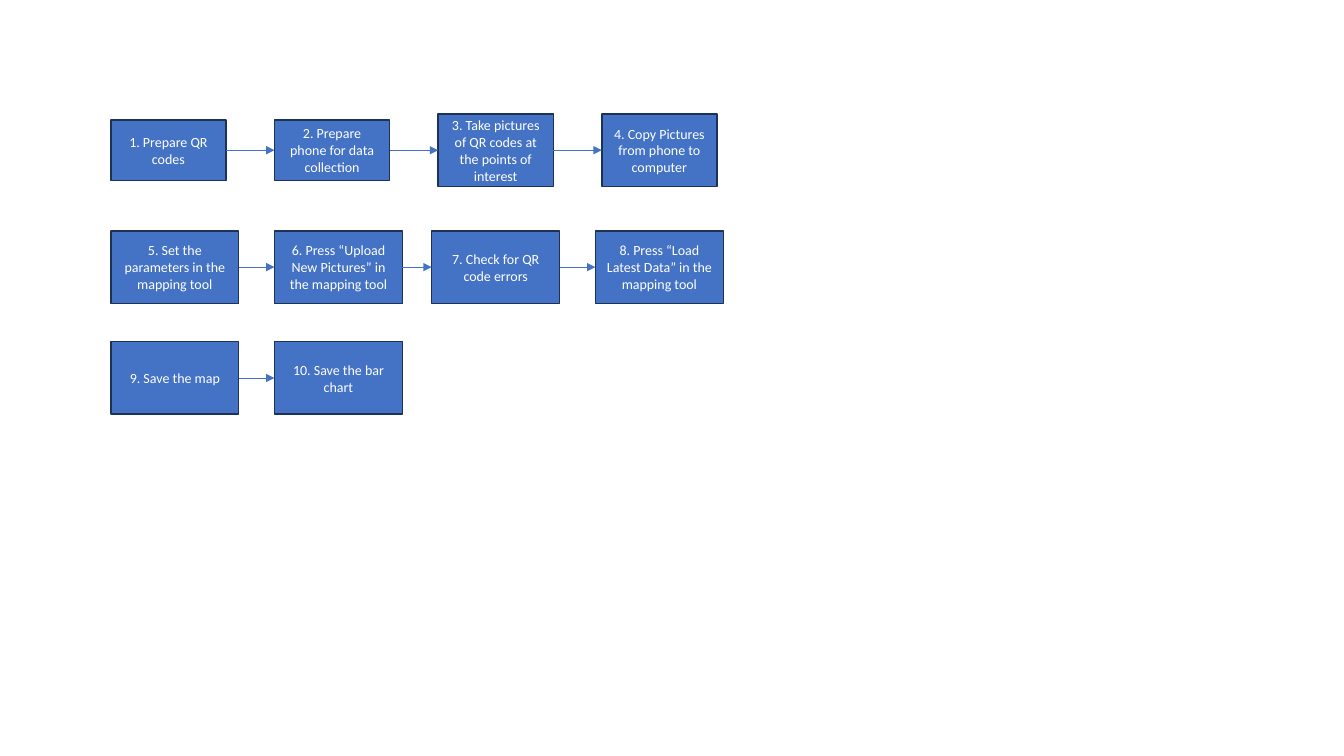
from itertools import pairwise

from lxml.etree import SubElement
from pptx import Presentation
from pptx.dml.color import RGBColor
from pptx.enum.shapes import MSO_CONNECTOR as CONNECTOR, MSO_SHAPE as SHAPE
from pptx.enum.text import MSO_ANCHOR as ANCHOR, PP_ALIGN as ALIGN
from pptx.oxml.ns import qn
from pptx.util import Pt

BLUE, NAVY, WHITE = "4472C4", "1E3256", "FFFFFF"
FIRST_LEFT, STEP_PITCH = 79.2, 116.9
NARROW, WIDE = 82.2, 91.4
LOW, TALL = 43.2, 51.8
LEFT_ALIGNED_COLUMNS = 2
RIGHT_SIDE, LEFT_SIDE = 3, 1

STEP_ROWS = [
    (107.3, NARROW, [
        ("1. Prepare QR codes", LOW),
        ("2. Prepare phone for data collection", LOW),
        ("3. Take pictures of QR codes at the points of interest", TALL),
        ("4. Copy Pictures from phone to computer", TALL),
    ]),
    (190.8, WIDE, [
        ("5. Set the parameters in the mapping tool", TALL),
        ("6. Press “Upload New Pictures” in the mapping tool", TALL),
        ("7. Check for QR code errors", TALL),
        ("8. Press “Load Latest Data” in the mapping tool", TALL),
    ]),
    (270, WIDE, [
        ("9. Save the map", TALL),
        ("10. Save the bar chart", TALL),
    ]),
]


def color(hex_code):
    """Turn a hex string into a colour."""
    return RGBColor.from_string(hex_code)


def step_left(column, width):
    """Align the first columns left and centre the others on the narrow boxes."""
    left = FIRST_LEFT + column * STEP_PITCH
    return left if column < LEFT_ALIGNED_COLUMNS else left - (width - NARROW) / 2


def add_step(slide, label, left, middle, width, height):
    """Add one process step, centred vertically on the row's middle."""
    step = slide.shapes.add_shape(
        SHAPE.RECTANGLE, Pt(left), Pt(middle - height / 2), Pt(width), Pt(height))
    step.shadow.inherit = False
    step.fill.solid()
    step.fill.fore_color.rgb = color(BLUE)
    step.line.color.rgb = color(NAVY)
    step.line.width = Pt(1)
    step.text_frame.word_wrap = True
    step.text_frame.vertical_anchor = ANCHOR.MIDDLE
    paragraph = step.text_frame.paragraphs[0]
    paragraph.text = label
    paragraph.alignment = ALIGN.CENTER
    paragraph.font.name = "Calibri"
    paragraph.font.size = Pt(10)
    paragraph.font.color.rgb = color(WHITE)
    return step


def add_arrow(slide, source, target):
    """Join two neighbouring steps with an arrow."""
    arrow = slide.shapes.add_connector(CONNECTOR.STRAIGHT, 0, 0, 0, 0)
    arrow.begin_connect(source, RIGHT_SIDE)
    arrow.end_connect(target, LEFT_SIDE)
    arrow.line.color.rgb = color(BLUE)
    arrow.line.width = Pt(0.5)
    properties = arrow._element.spPr
    SubElement(properties.find(qn("a:ln")), qn("a:tailEnd"), type="triangle")
    SubElement(properties, qn("a:effectLst"))


def add_step_row(slide, middle, width, entries):
    """Add a row of steps and the arrows between them."""
    steps = [
        add_step(slide, label, step_left(column, width), middle, width, height)
        for column, (label, height) in enumerate(entries)
    ]
    for source, target in pairwise(steps):
        add_arrow(slide, source, target)


def main():
    """Build the slide with the mapping workflow."""
    presentation = Presentation()
    presentation.slide_width, presentation.slide_height = Pt(960), Pt(540)
    slide = presentation.slides.add_slide(presentation.slide_layouts[6])
    for middle, width, entries in STEP_ROWS:
        add_step_row(slide, middle, width, entries)
    presentation.save("out.pptx")


if __name__ == "__main__":
    main()
